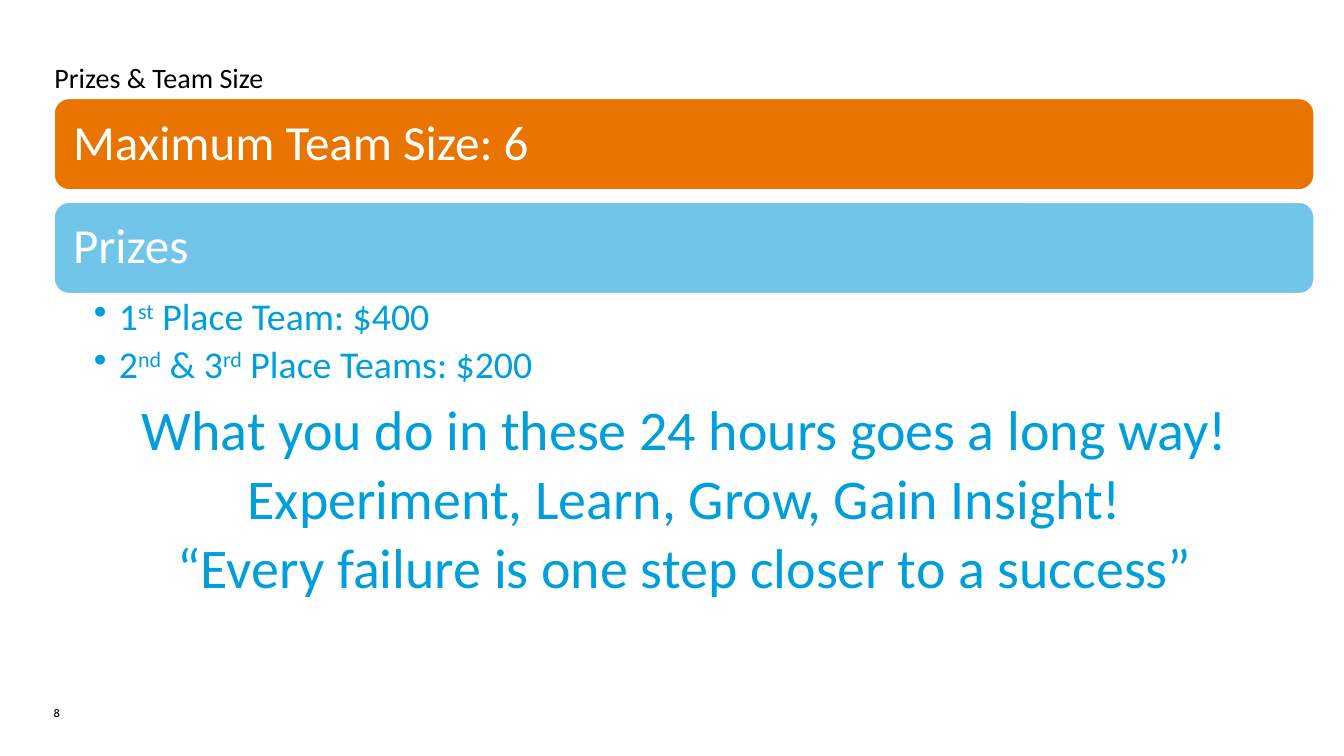
from lxml.etree import SubElement
from pptx import Presentation
from pptx.dml.color import RGBColor
from pptx.enum.shapes import MSO_SHAPE as Shape
from pptx.enum.text import MSO_ANCHOR as Anchor, MSO_AUTO_SIZE as AutoSize, PP_ALIGN as Align
from pptx.oxml.ns import qn
from pptx.util import Inches, Pt

COLORS = {"black": "000000", "white": "FFFFFF", "orange": "EA7400",
          "sky": "71C5E8", "blue": "009FDB"}


def write(shape, lines, size, color, font="Calibri", spacing=0.9, after=0,
          align=Align.LEFT, anchor=Anchor.TOP, insets=(0, 0, 0, 0), bullet=None):
    """Fill a shape with paragraphs; text between ^ marks is superscript."""
    frame = shape.text_frame
    frame.word_wrap = True
    frame.auto_size = AutoSize.NONE
    frame.vertical_anchor = anchor
    (frame.margin_left, frame.margin_top,
     frame.margin_right, frame.margin_bottom) = map(Inches, insets)
    for index, line in enumerate(lines):
        paragraph = frame.add_paragraph() if index else frame.paragraphs[0]
        paragraph.alignment = align
        paragraph.line_spacing = spacing
        paragraph.space_before = Pt(0)
        paragraph.space_after = Pt(after)
        if bullet:
            properties = paragraph._p.get_or_add_pPr()
            properties.set("marL", str(Inches(0.25)))
            properties.set("indent", str(Inches(-0.25)))
            SubElement(properties, qn("a:buChar"), char=bullet)
        for part, text in enumerate(line.split("^")):
            run = paragraph.add_run()
            run.text = text
            run.font.name = font
            run.font.size = Pt(size)
            run.font.color.rgb = RGBColor.from_string(COLORS[color])
            if part % 2:
                run._r.get_or_add_rPr().set("baseline", "30000")


deck = Presentation()
deck.slide_width, deck.slide_height = Inches(13.33), Inches(7.5)
slide = deck.slides.add_slide(deck.slide_layouts[5])

# Title
title = slide.shapes.title
title.left, title.top = Inches(0.54), Inches(0.57)
title.width, title.height = Inches(12.26), Inches(0.37)
write(title, ["Prizes & Team Size"], 20, "black", spacing=1.1, after=10)

# Heading banners
banners = [("Maximum Team Size: 6", "orange"), ("Prizes", "sky")]
for row, (heading, fill) in enumerate(banners):
    banner = slide.shapes.add_shape(Shape.ROUNDED_RECTANGLE, Inches(0.53),
                                    Inches(0.97 + 1.03 * row), Inches(12.51), Inches(0.92))
    banner.shadow.inherit = False
    banner.fill.solid()
    banner.fill.fore_color.rgb = RGBColor.from_string(COLORS[fill])
    banner.line.color.rgb = RGBColor.from_string(COLORS["white"])
    banner.line.width = Pt(2)
    # The rounded corners already inset the text by about 0.05"
    write(banner, [heading], 35, "white", anchor=Anchor.MIDDLE,
          insets=(0.15, 0.15, 0.15, 0.15))

# Prize list
prizes = slide.shapes.add_textbox(Inches(0.53), Inches(2.91), Inches(12.51), Inches(1.03))
write(prizes, ["1^st^ Place Team: $400", "2^nd^ & 3^rd^ Place Teams: $200"], 27, "blue",
      after=5, insets=(0.4, 0.05, 0.27, 0.05), bullet="•")

# Encouragement
message = slide.shapes.add_textbox(Inches(0.61), Inches(3.99), Inches(12.36), Inches(3.1))
write(message, ["What you do in these 24 hours goes a long way!",
                "Experiment, Learn, Grow, Gain Insight!",
                "“Every failure is one step closer to a success”"],
      40, "blue", after=6, align=Align.CENTER)

# Slide number
number = slide.shapes.add_textbox(Inches(0.53), Inches(7), Inches(0.32), Inches(0.25))
write(number, ["8"], 8, "black", font="Cabin", spacing=Pt(10))

deck.save("out.pptx")
